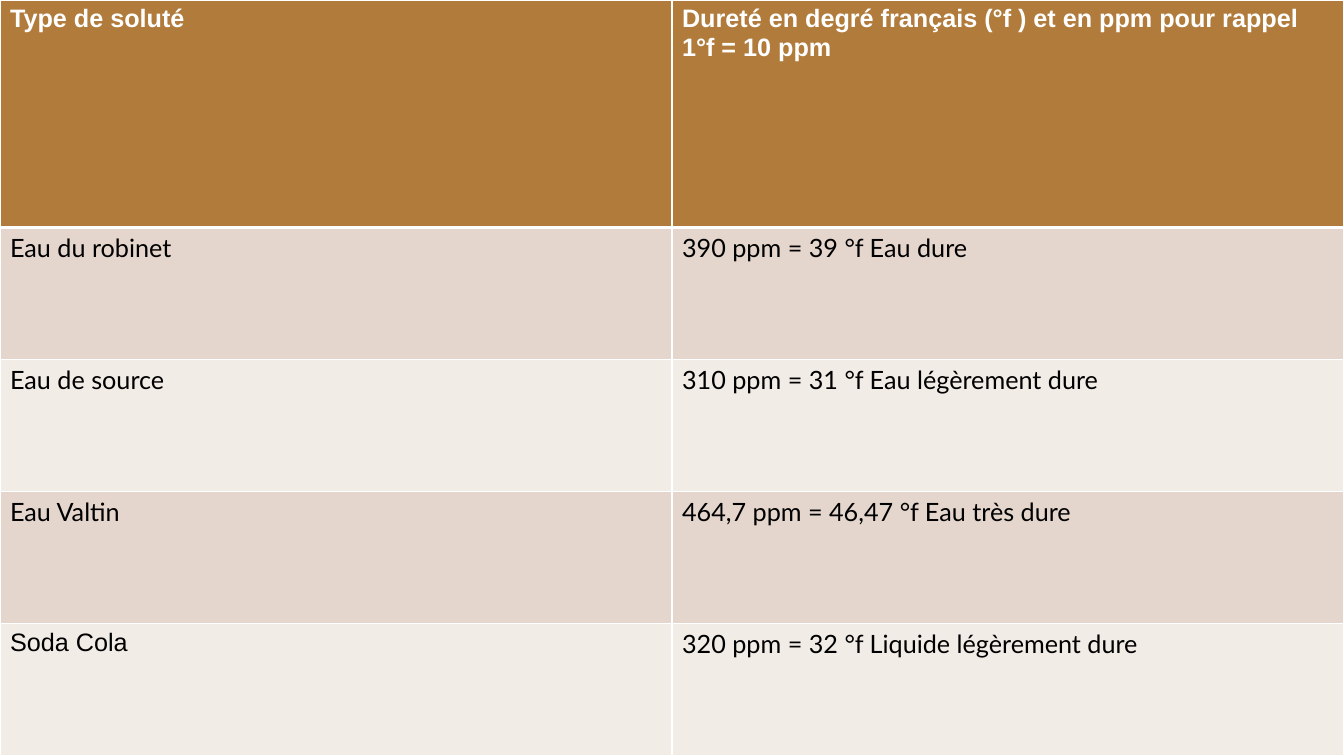
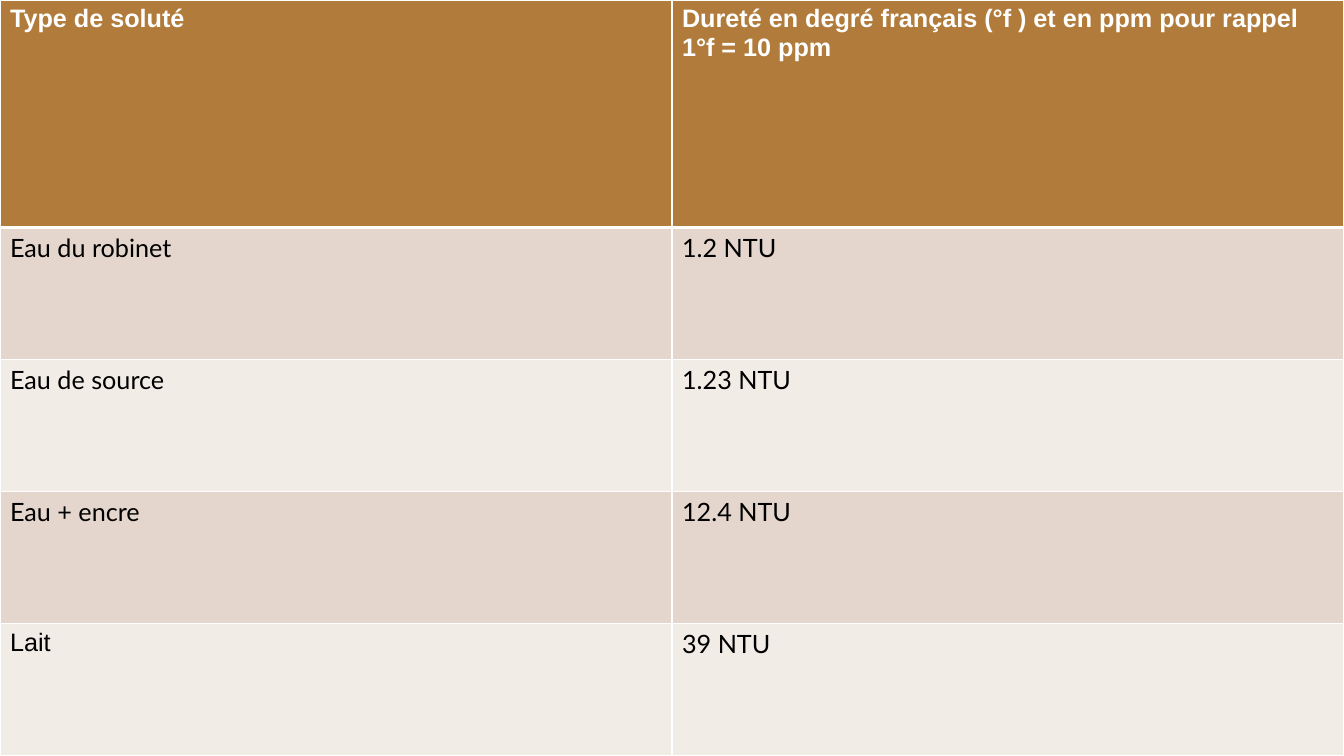
from pptx import Presentation
from pptx import util as u
from pptx.dml.color import RGBColor
from pptx.oxml import parse_xml
from pptx.oxml.ns import nsdecls

WIDE, HIGH = u.Cm(33.87), u.Cm(19.05)
ROW = u.Cm(3.33)
WHITE, BLACK, BROWN = "FFFFFF", "000000", "B17B3B"
BANDS = ["E4D6CD", "F2ECE7"]
HEAD = ("Type de soluté",
        "Dureté en degré français (°f ) et en ppm pour rappel 1°f = 10 ppm")
SLIDES = [
    [("Eau du robinet", "390 ppm = 39 °f Eau dure"),
     ("Eau de source", "310 ppm = 31 °f Eau légèrement dure"),
     ("Eau Valtin", "464,7 ppm = 46,47 °f Eau très dure"),
     ("Soda Cola", "320 ppm = 32 °f Liquide légèrement dure")],
    [("Eau du robinet", "1.2 NTU"),
     ("Eau de source", "1.23 NTU"),
     ("Eau + encre", "12.4 NTU"),
     ("Lait", "39 NTU")],
]


def paint(color, value):
    """Give a colour format its hex value."""
    color.rgb = RGBColor.from_string(value)


def edge(cell, side, width):
    """Draw one white cell border."""
    cell._tc.get_or_add_tcPr().append(parse_xml(
        f'<a:ln{side} {nsdecls("a")} w="{u.Pt(width)}"><a:solidFill>'
        f'<a:srgbClr val="{WHITE}"/></a:solidFill></a:ln{side}>'))


def write(cell, words, face, ink, fill, top=1, base=1):
    """Fill one table cell with text, borders and colour."""
    for side, width in zip("LRTB", (1, 1, top, base)):
        edge(cell, side, width)
    cell.fill.solid()
    paint(cell.fill.fore_color, fill)
    cell.text = words
    font = cell.text_frame.paragraphs[0].font
    font.name, font.size, font.bold = face, u.Pt(18), ink == WHITE
    paint(font.color, ink)


def add_grid(slide, rows):
    """Add the full-page table of solutes."""
    count = len(rows)
    grid = slide.shapes.add_table(count + 1, 2, 0, 0, WIDE, HIGH).table
    for row in grid.rows:
        row.height = ROW
    grid.rows[0].height = HIGH - count * ROW
    for col, words in enumerate(HEAD):
        write(grid.cell(0, col), words, "Arial", WHITE, BROWN, base=3)
    for line, pair in enumerate(rows, 1):
        for col, words in enumerate(pair):
            face = "Arial" if (line, col) == (count, 0) else "Lato"
            write(grid.cell(line, col), words, face, BLACK,
                  BANDS[(line - 1) % 2], top=3 if line == 1 else 1)


def main():
    """Build and save the slides."""
    deck = Presentation()
    deck.slide_width, deck.slide_height = WIDE, HIGH
    for rows in SLIDES:
        add_grid(deck.slides.add_slide(deck.slide_layouts[6]), rows)
    deck.save("out.pptx")


if __name__ == "__main__":
    main()
